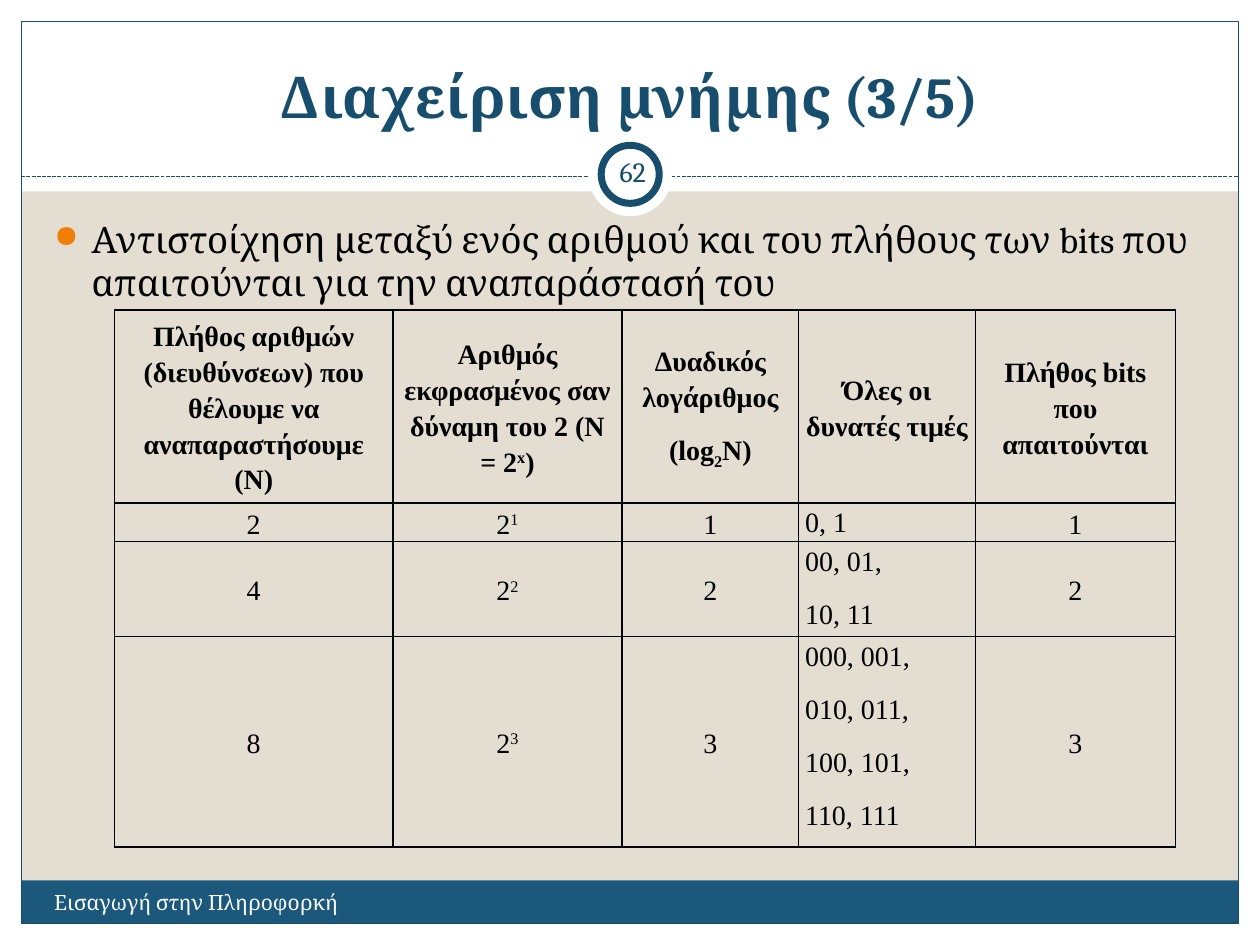
from typing import NamedTuple

from lxml.etree import SubElement
from pptx import Presentation
from pptx.dml.color import RGBColor
from pptx.enum.dml import MSO_LINE
from pptx.enum.shapes import MSO_CONNECTOR, MSO_SHAPE
from pptx.enum.text import MSO_ANCHOR, MSO_AUTO_SIZE, PP_ALIGN
from pptx.oxml.ns import qn
from pptx.util import Cm, Pt

NAVY, BLUE, WHITE, BLACK = "184E6D", "1B587C", "FFFFFF", "000000"
SAND, ORANGE = "E3DED1", "F07F09"
BASELINES = {"^": 30000, "_": -25000}
HEADINGS = [
    ["Πλήθος αριθμών (διευθύνσεων) που θέλουμε να αναπαραστήσουμε (N)"],
    ["Αριθμός εκφρασμένος σαν δύναμη του 2 (N = 2^x)"],
    ["Δυαδικός λογάριθμος", "(log_2N)"],
    ["Όλες οι δυνατές τιμές"],
    ["Πλήθος bits που απαιτούνται"],
]
VALUES = [
    ["0, 1"],
    ["00, 01,", "10, 11"],
    ["000, 001,", "010, 011,", "100, 101,", "110, 111"],
]
COLUMN_WIDTHS = [5.61, 4.62, 3.56, 3.56, 4.04]
ROW_HEIGHTS = [3.3, 0.66, 1.85, 4.24]
VALUES_COLUMN = 3


class Box(NamedTuple):
    """A rectangle in centimetres."""

    left: float
    top: float
    width: float
    height: float

    def lengths(self):
        """Return the four sides as slide lengths."""
        return [Cm(side) for side in self]


def color(hex_string):
    """Turn a hex string into a colour."""
    return RGBColor.from_string(hex_string)


def set_all(target, values):
    """Set every attribute named in a dict."""
    for name, value in values.items():
        setattr(target, name, value)


def add_runs(paragraph, text, size, hex_color, font="Cambria", bold=False):
    """Write text, raising the character after ^ and lowering the one after _."""
    mark = next((mark for mark in BASELINES if mark in text), None)
    pieces = [(text, 0)]
    if mark:
        head, _, tail = text.partition(mark)
        pieces = [(head, 0), (tail[0], BASELINES[mark]), (tail[1:], 0)]
    for piece, baseline in pieces:
        if piece:
            run = paragraph.add_run()
            run.text = piece
            set_all(run.font, {"size": Pt(size), "name": font, "bold": bold})
            run.font.color.rgb = color(hex_color)
            if baseline:
                run.font._element.set("baseline", str(baseline))


def add_block(slide, box, fill=None, line=None, width=0.75, kind=MSO_SHAPE.RECTANGLE):
    """Add a shape with a plain fill and line."""
    shape = slide.shapes.add_shape(kind, *box.lengths())
    shape.shadow.inherit = False
    if fill:
        shape.fill.solid()
        shape.fill.fore_color.rgb = color(fill)
    else:
        shape.fill.background()
    if line:
        shape.line.color.rgb = color(line)
        shape.line.width = Pt(width)
    else:
        shape.line.fill.background()


def add_text(slide, box, text, size, hex_color, **frame_format):
    """Add a wrapped text box and return its paragraph."""
    frame = slide.shapes.add_textbox(*box.lengths()).text_frame
    set_all(frame, {"word_wrap": True, **frame_format})
    paragraph = frame.paragraphs[0]
    add_runs(paragraph, text, size, hex_color)
    return paragraph


def add_frame(slide, box):
    """Draw the white margins, the header band and the outline."""
    margin, header = 0.43, 3.86
    add_block(slide, Box(box.left, box.top + box.height - margin, box.width, margin), WHITE)
    add_block(slide, Box(box.left, box.top, box.width, header), WHITE)
    for left in (box.left, box.left + box.width - margin):
        add_block(slide, Box(left, box.top, margin, box.height), WHITE)
    inner = Box(box.left + margin, box.top + margin,
                box.width - 2 * margin, box.height - 2 * margin)
    add_footer(slide, Box(inner.left, 17.75, inner.width, 0.87))
    add_block(slide, inner, line=NAVY)
    add_divider(slide, Box(inner.left, 3.56, inner.width, 0))


def add_footer(slide, box):
    """Draw the footer band and its text."""
    add_block(slide, box, BLUE)
    add_text(slide, Box(box.left + 0.41, box.top + 0.05, 9.96, 1.02),
             "Εισαγωγή στην Πληροφορκή", 12, WHITE)


def add_divider(slide, box):
    """Draw the dashed line under the header."""
    line = slide.shapes.add_connector(
        MSO_CONNECTOR.STRAIGHT, Cm(box.left), Cm(box.top),
        Cm(box.left + box.width), Cm(box.top))
    set_all(line.line, {"width": Pt(0.75), "dash_style": MSO_LINE.SQUARE_DOT})
    line.line.color.rgb = color(NAVY)
    line.line._ln.find(qn("a:prstDash")).set("val", "sysDash")
    SubElement(line._element.spPr, qn("a:effectLst"))


def add_number(slide, box, number):
    """Draw the ringed slide number."""
    inset = 0.26
    ring = Box(box.left + inset, box.top + inset,
               box.width - 2 * inset, box.height - 2 * inset)
    add_block(slide, box, WHITE, kind=MSO_SHAPE.OVAL)
    add_block(slide, ring, WHITE, NAVY, 4, MSO_SHAPE.OVAL)
    margins = {f"margin_{side}": Cm(0.13) for side in ("left", "top", "right", "bottom")}
    paragraph = add_text(slide, Box(ring.left, box.top + 0.18, 1.27, 1.22), number, 16, NAVY,
                         vertical_anchor=MSO_ANCHOR.MIDDLE, **margins)
    paragraph.alignment = PP_ALIGN.CENTER


def place_title(slide, box, text):
    """Place the title above the header band."""
    title = slide.shapes.title
    set_all(title, dict(zip(("left", "top", "width", "height"), box.lengths())))
    set_all(title.text_frame, {"word_wrap": True, "auto_size": MSO_AUTO_SIZE.NONE,
                               "vertical_anchor": MSO_ANCHOR.BOTTOM})
    paragraph = title.text_frame.paragraphs[0]
    paragraph.alignment = PP_ALIGN.CENTER
    add_runs(paragraph, text, 33, NAVY, bold=True)
    title.element.getparent().append(title.element)


def add_bullet(slide, box, text):
    """Add the bulleted statement."""
    paragraph = add_text(slide, box, text, 20.9, BLACK)
    properties = paragraph._p.get_or_add_pPr()
    indent = Cm(0.76)
    properties.set("marL", str(indent))
    properties.set("indent", str(-indent))
    SubElement(SubElement(properties, qn("a:buClr")), qn("a:srgbClr"), val=ORANGE)
    SubElement(properties, qn("a:buSzPct"), val="85000")
    SubElement(properties, qn("a:buChar"), char="●")


def fill_cell(cell, texts, bold, alignment, anchor):
    """Border a cell and write its paragraphs."""
    properties = cell._tc.get_or_add_tcPr()
    for side in "LRTB":
        border = SubElement(properties, qn(f"a:ln{side}"), w=str(Pt(1)))
        SubElement(SubElement(border, qn("a:solidFill")), qn("a:srgbClr"), val=BLACK)
    cell.fill.background()
    set_all(cell, {"margin_left": Cm(0.13), "margin_right": Cm(0.13), "margin_top": 0,
                   "margin_bottom": 0, "vertical_anchor": anchor})
    frame = cell.text_frame
    for index, text in enumerate(texts):
        paragraph = frame.add_paragraph() if index else frame.paragraphs[0]
        set_all(paragraph, {"alignment": alignment, "line_spacing": 1.15,
                            "space_after": Pt(10)})
        add_runs(paragraph, text, 16, BLACK, "Times New Roman", bold)


def add_bits_table(slide, box):
    """Add the table of numbers, powers and bits."""
    rows = [HEADINGS] + [
        [[str(2 ** bits)], [f"2^{bits}"], [str(bits)], values, [str(bits)]]
        for bits, values in enumerate(VALUES, 1)]
    table = slide.shapes.add_table(len(rows), len(HEADINGS), *box.lengths()).table
    set_all(table, {"first_row": False, "horz_banding": False})
    for column, width in zip(table.columns, COLUMN_WIDTHS):
        column.width = Cm(width)
    for row_index, (row, height) in enumerate(zip(rows, ROW_HEIGHTS)):
        table.rows[row_index].height = Cm(height)
        for column_index, texts in enumerate(row):
            heading = row_index == 0
            listed = column_index == VALUES_COLUMN and not heading
            fill_cell(table.cell(row_index, column_index), texts, heading,
                      PP_ALIGN.JUSTIFY if listed else PP_ALIGN.CENTER,
                      MSO_ANCHOR.TOP if listed else MSO_ANCHOR.MIDDLE)


def main():
    """Build and save the slide."""
    presentation = Presentation()
    set_all(presentation, {"slide_width": Cm(25.4), "slide_height": Cm(19.05)})
    slide = presentation.slides.add_slide(presentation.slide_layouts[5])
    slide.background.fill.solid()
    slide.background.fill.fore_color.rgb = color(SAND)
    add_frame(slide, Box(0, 0, 25.4, 19.05))
    add_number(slide, Box(11.86, 2.67, 1.69, 1.69), "62")
    place_title(slide, Box(0.84, 0.64, 23.7, 2.11), "Διαχείριση μνήμης (3/5)")
    add_bullet(slide, Box(0.84, 4.24, 23.62, 1.68),
               "Αντιστοίχηση μεταξύ ενός αριθμού και του πλήθους των bits "
               "που απαιτούνται για την αναπαράστασή του")
    add_bits_table(slide, Box(2.31, 6.25, sum(COLUMN_WIDTHS), sum(ROW_HEIGHTS)))
    presentation.save("out.pptx")


if __name__ == "__main__":
    main()
